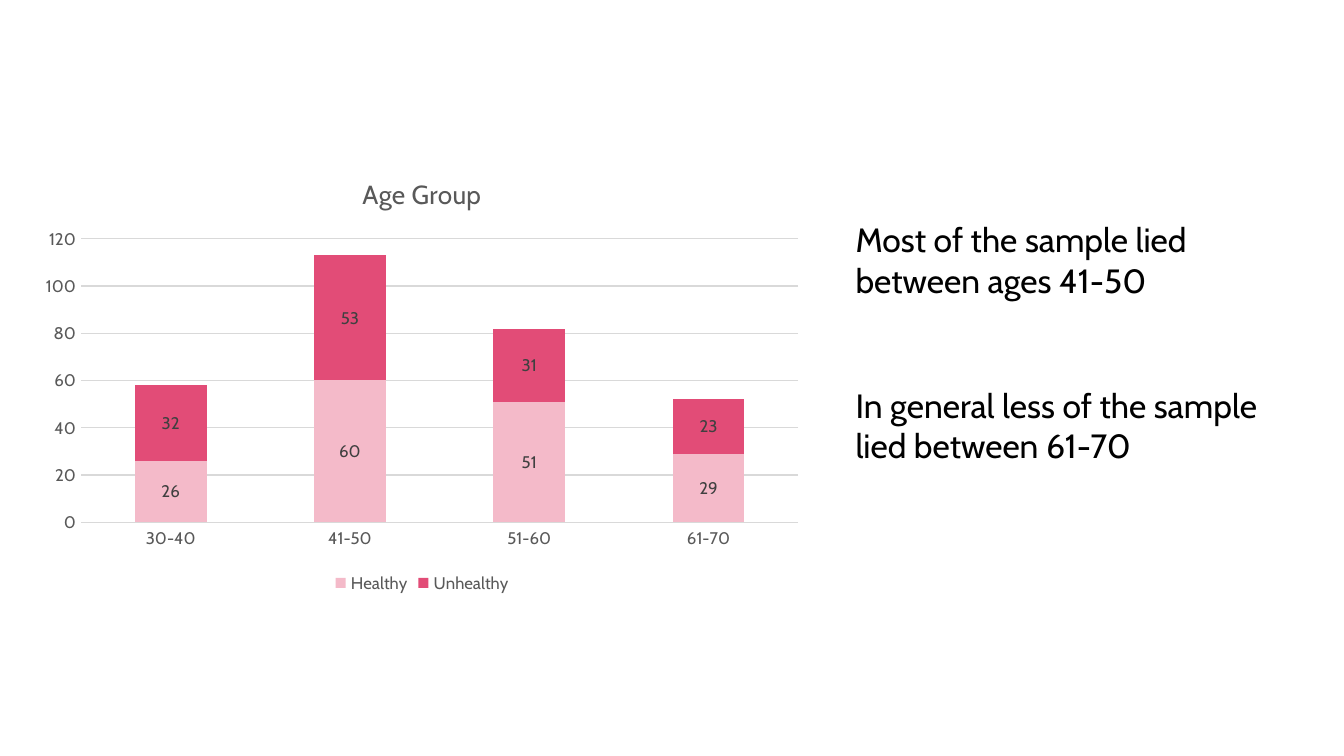
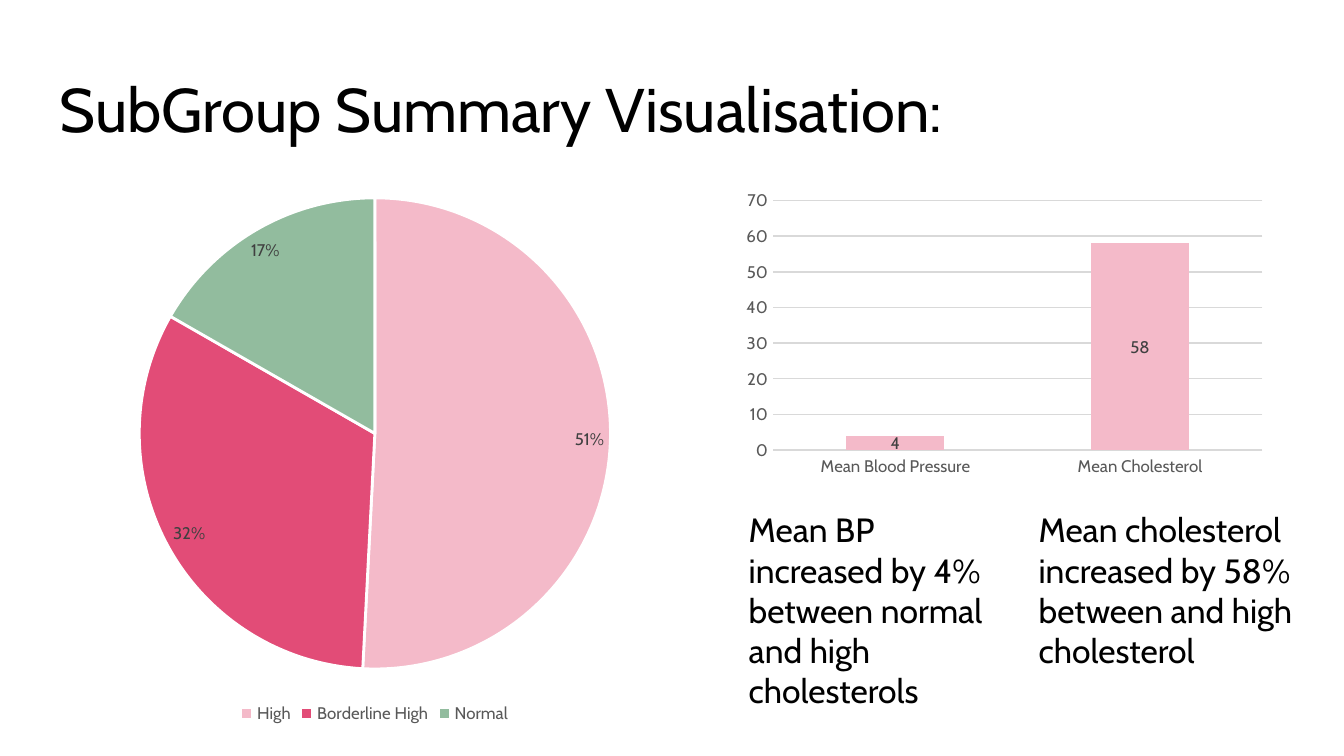
"""Build two slides of charts on age group and cholesterol subgroup."""
from dataclasses import dataclass
from typing import Any

from pptx import Presentation
from pptx.chart.chart import Chart
from pptx.chart.data import CategoryChartData
from pptx.dml.color import RGBColor
from pptx.enum.chart import (XL_CHART_TYPE, XL_LABEL_POSITION,
                             XL_LEGEND_POSITION, XL_TICK_MARK)
from pptx.enum.text import MSO_ANCHOR, MSO_AUTO_SIZE, PP_ALIGN
from pptx.slide import Slide
from pptx.util import Cm, Pt

STACK, PIE = XL_CHART_TYPE.COLUMN_STACKED, XL_CHART_TYPE.PIE
CENTER, BEST = XL_LABEL_POSITION.CENTER, XL_LABEL_POSITION.BEST_FIT
BOTTOM, NO_TICK = XL_LEGEND_POSITION.BOTTOM, XL_TICK_MARK.NONE
TOP, LEFT = MSO_ANCHOR.TOP, PP_ALIGN.LEFT
GROW, FIXED = MSO_AUTO_SIZE.SHAPE_TO_FIT_TEXT, MSO_AUTO_SIZE.NONE

FACE = "Cabin"
HUES = {"ink": "000000", "paper": "FFFFFF", "text": "595959",
        "label": "404040", "grid": "D9D9D9",
        "blush": "F4BAC9", "rose": "E24C77", "sage": "92BC9E"}
FILLS = ("blush", "rose", "sage")
TITLE_ONLY, BLANK = 5, 6


@dataclass(frozen=True)
class Box:
    """Place and size in centimetres."""
    left: float
    top: float
    width: float
    height: float

    def area(self) -> tuple[Cm, Cm, Cm, Cm]:
        """Return the four lengths in drawing order."""
        return Cm(self.left), Cm(self.top), Cm(self.width), Cm(self.height)


@dataclass(frozen=True)
class Note:
    """A text box with its lines."""
    box: Box
    lines: tuple[str, ...]
    wrap: bool = True


@dataclass(frozen=True)
class Graph:
    """A chart with its data."""
    box: Box
    kind: Any
    cats: tuple[str, ...]
    data: dict[str, tuple[int, ...]]
    title: str = ""
    legend: bool = True


AGE = Graph(Box(0.57, 2.94, 14.81, 8.38), STACK,
            ("30-40", "41-50", "51-60", "61-70"),
            {"Healthy": (26, 60, 51, 29), "Unhealthy": (32, 53, 31, 23)},
            title="Age Group")
LEVELS = Graph(Box(-0.52, 3.39, 15.21, 10.39), PIE,
               ("High", "Borderline High", "Normal"),
               {"Series 1": (155, 99, 51)})
MEANS = Graph(Box(13.9, 3.48, 10.16, 5.64), STACK,
              ("Mean Blood Pressure", "Mean Cholesterol"),
              {"Series 1": (4, 58)}, legend=False)

AGE_NOTES = (
    Note(Box(15.92, 4.02, 7.47, 1.8),
         ("Most of the sample lied between ages 41-50",)),
    Note(Box(15.92, 7.15, 8.48, 1.8),
         ("In general less of the sample", "lied between 61-70"), wrap=False),
)
MEAN_NOTES = (
    Note(Box(13.9, 9.5, 5.26, 4.11),
         ("Mean BP increased by 4% between normal and high cholesterols",)),
    Note(Box(19.38, 9.5, 5.61, 3.33),
         ("Mean cholesterol increased by 58% between and high cholesterol",)),
)
HEAD = Note(Box(0.88, 1.24, 23.67, 4.47), ("SubGroup Summary Visualisation:",))


def put(item: Any, **values: Any) -> None:
    """Set each named attribute on an item."""
    for name, value in values.items():
        setattr(item, name, value)


def hue(name: str) -> RGBColor:
    """Return a named colour."""
    return RGBColor.from_string(HUES[name])


def style(font: Any, size: float, tint: str) -> None:
    """Set face, size and colour of a font."""
    put(font, name=FACE, size=Pt(size), bold=False)
    font.color.rgb = hue(tint)


def write(frame: Any, text: str, size: float, tint: str) -> None:
    """Fill a text frame and style each line."""
    frame.text = text
    for para in frame.paragraphs:
        style(para.runs[0].font, size, tint)


def paint(form: Any, tint: str) -> None:
    """Fill a chart part with one colour."""
    form.fill.solid()
    form.fill.fore_color.rgb = hue(tint)


def rule(line: Any, tint: str, width: float) -> None:
    """Set colour and width of a line."""
    line.color.rgb = hue(tint)
    line.width = Pt(width)


def add_note(slide: Slide, note: Note) -> None:
    """Add a text box."""
    frame = slide.shapes.add_textbox(*note.box.area()).text_frame
    put(frame, word_wrap=note.wrap, auto_size=GROW)
    write(frame, "\n".join(note.lines), 18, "ink")


def add_head(slide: Slide, note: Note) -> None:
    """Fill and move the title placeholder."""
    title = slide.shapes.title
    put(title, **dict(zip(("left", "top", "width", "height"), note.box.area())))
    edge = Cm(0.25)
    put(title.text_frame, vertical_anchor=TOP, auto_size=FIXED,
        word_wrap=True, margin_left=edge, margin_right=edge,
        margin_top=edge, margin_bottom=edge)
    write(title.text_frame, note.lines[0], 33, "ink")
    put(title.text_frame.paragraphs[0], alignment=LEFT, line_spacing=0.9)


def dress_bars(chart: Chart) -> None:
    """Format the axes and series of a column chart."""
    put(chart.plots[0], gap_width=150, overlap=100)
    for axis in (chart.category_axis, chart.value_axis):
        put(axis, major_tick_mark=NO_TICK, minor_tick_mark=NO_TICK)
        style(axis.tick_labels.font, 9, "text")
    rule(chart.category_axis.format.line, "grid", 0.75)
    chart.value_axis.format.line.fill.background()
    rule(chart.value_axis.major_gridlines.format.line, "grid", 0.75)
    for series, tint in zip(chart.plots[0].series, FILLS):
        paint(series.format, tint)


def dress_pie(chart: Chart) -> None:
    """Format the slices of a pie chart and label their shares."""
    series = chart.plots[0].series[0]
    total = sum(series.values)
    for num, (value, tint) in enumerate(zip(series.values, FILLS)):
        point = series.points[num]
        paint(point.format, tint)
        rule(point.format.line, "paper", 1.5)
        write(point.data_label.text_frame, f"{value / total:.0%}", 9, "label")
        point.data_label.position = BEST


def add_graph(slide: Slide, graph: Graph) -> None:
    """Add a chart with its labels, title and legend."""
    data = CategoryChartData()
    data.categories = graph.cats
    for name, values in graph.data.items():
        data.add_series(name, values)
    chart = slide.shapes.add_chart(graph.kind, *graph.box.area(), data).chart
    style(chart.font, 10, "ink")
    put(chart, has_title=bool(graph.title), has_legend=graph.legend)
    if graph.title:
        write(chart.chart_title.text_frame, graph.title, 14, "text")
    if graph.legend:
        put(chart.legend, position=BOTTOM, include_in_layout=False)
        style(chart.legend.font, 9, "text")
    pie = graph.kind == PIE
    plot = chart.plots[0]
    plot.vary_by_categories = pie
    for series in plot.series:
        labels = series.data_labels
        put(labels, show_value=True, position=BEST if pie else CENTER)
        style(labels.font, 9, "label")
    if pie:
        dress_pie(chart)
    else:
        dress_bars(chart)


def add_slide(deck: Any, graphs: tuple[Graph, ...], notes: tuple[Note, ...],
              head: Note | None = None) -> None:
    """Add a slide with its title, charts and notes."""
    layout = deck.slide_layouts[TITLE_ONLY if head else BLANK]
    slide = deck.slides.add_slide(layout)
    paint(slide.background, "paper")
    if head:
        add_head(slide, head)
    for graph in graphs:
        add_graph(slide, graph)
    for note in notes:
        add_note(slide, note)


def main() -> None:
    """Build and save the deck."""
    deck = Presentation()
    put(deck, slide_width=Cm(25.4), slide_height=Cm(14.29))
    add_slide(deck, (AGE,), AGE_NOTES)
    add_slide(deck, (LEVELS, MEANS), MEAN_NOTES, HEAD)
    deck.save("out.pptx")


if __name__ == "__main__":
    main()
